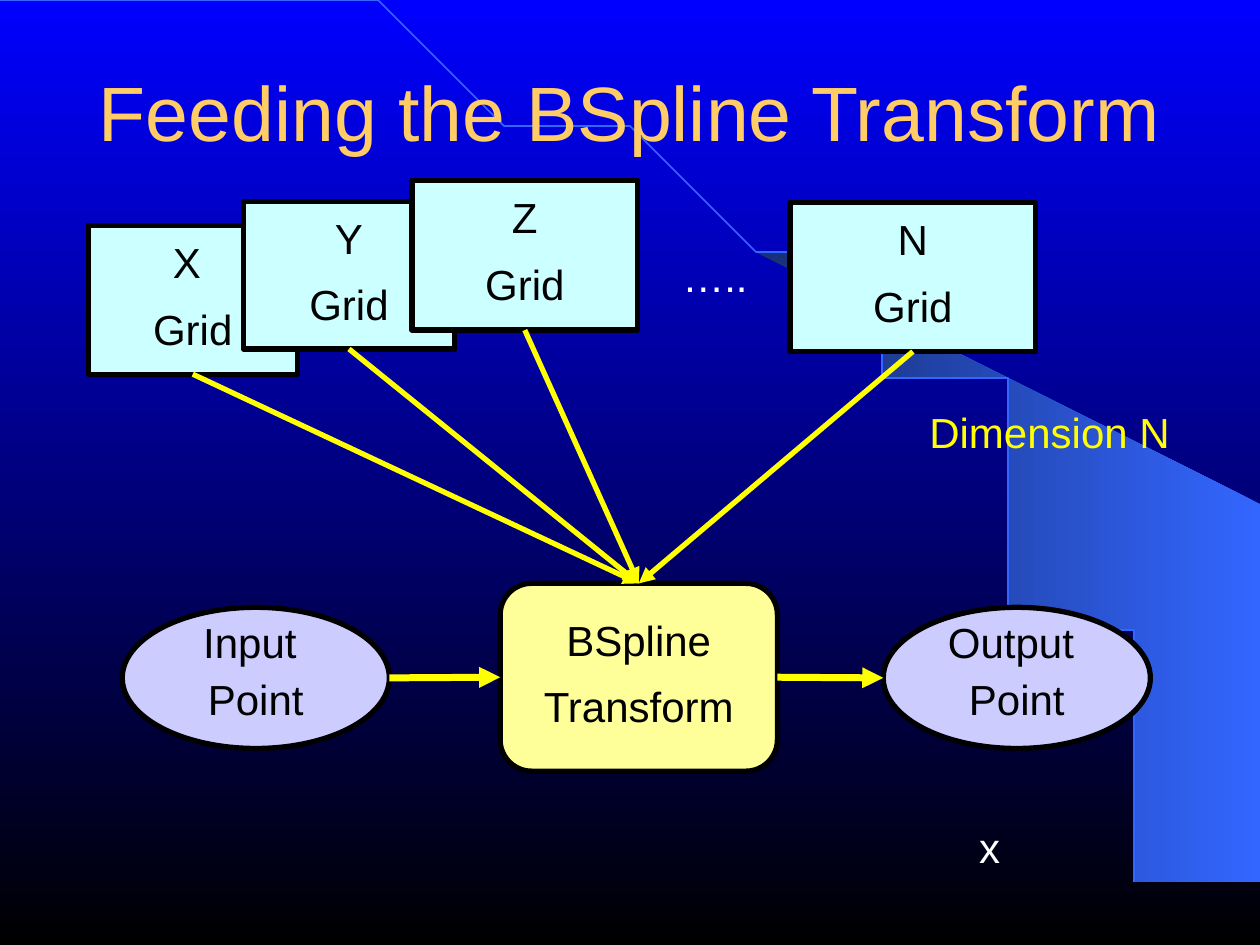
import math
import pptx
import pptx.util
import pptx.dml.color
import pptx.enum.shapes
import pptx.enum.text
import pptx.oxml.ns
from lxml import etree

Inches, Pt = pptx.util.Inches, pptx.util.Pt
SHAPE = pptx.enum.shapes.MSO_SHAPE
ANCHOR = pptx.enum.text.MSO_ANCHOR

# Content: lines of text, place (left, top, width, height)
TITLE = "Feeding the BSpline Transform", (0.75, 0.12, 8.5, 1.51)
GRIDS = [
    (["X ", "Grid"], (0.7, 1.79, 1.66, 1.18)),
    (["Y", "Grid"], (1.93, 1.6, 1.68, 1.17)),
    (["Z", "Grid"], (3.27, 1.43, 1.79, 1.19)),
    (["N", "Grid"], (6.27, 1.61, 1.95, 1.18)),
]
TRANSFORM = ["BSpline", "Transform"], (3.97, 4.63, 2.2, 1.49)
POINTS = [
    (["Input ", "Point"], (0.97, 4.82, 2.12, 1.12)),
    (["Output ", "Point"], (7.01, 4.82, 2.12, 1.12)),
]
# Label, place, colour, line spacing, top and bottom inset
LABELS = [
    ("…..", (5.19, 2.02, 0.97, 0.42), "white", 0.8, 0.05),
    ("Dimension N", (7.01, 3.22, 2.64, 0.54), "yellow", 0.6, 0.15),
    ("x", (7.67, 6.55, 0.37, 0.42), "white", 0.8, 0.05),
]

THEME = {
    "font": "Arial", "title_size": 44, "text_size": 24, "space_before": 15,
    "outline": 3, "feed_line": 3, "flow_line": 4, "arc_line": 1,
    "black": "000000", "white": "FFFFFF", "yellow": "FFFF00",
    "title": "FFCC66", "grid": "CCFFFF", "transform": "FFFF99",
    "point": "CCCCFF", "sky": "0000FF", "arc": "3366FF", "arc_dark": "172F75",
}


def color(name):
    return pptx.dml.color.RGBColor.from_string(THEME[name])


def gradient(fill, first, last, angle):
    fill.gradient()
    fill.gradient_angle = angle
    for stop, name in zip(fill.gradient_stops, (first, last)):
        stop.color.rgb = color(name)


def write(shape, lines, name, size="text_size", spacing=None,
          anchor=ANCHOR.MIDDLE, inset=(0.1, 0.05), wrap=True):
    tf = shape.text_frame
    tf.auto_size = pptx.enum.text.MSO_AUTO_SIZE.NONE
    tf.word_wrap = wrap
    tf.vertical_anchor = anchor
    tf.margin_left = tf.margin_right = Inches(inset[0])
    tf.margin_top = tf.margin_bottom = Inches(inset[1])
    for i, line in enumerate(lines):
        p = tf.add_paragraph() if i else tf.paragraphs[0]
        p.alignment = pptx.enum.text.PP_ALIGN.CENTER
        if spacing:
            p.line_spacing = spacing
        if i:
            p.space_before = Pt(THEME["space_before"])
        r = p.add_run()
        r.text = line
        r.font.name = THEME["font"]
        r.font.size = Pt(THEME[size])
        r.font.color.rgb = color(name)


def add_node(s, kind, lines, place, fill, spacing=0.8, inset=(0.1, 0.05)):
    sp = s.shapes.add_shape(kind, *map(Inches, place))
    sp.shadow.inherit = False
    sp.fill.solid()
    sp.fill.fore_color.rgb = color(fill)
    sp.line.color.rgb = color("black")
    sp.line.width = Pt(THEME["outline"])
    write(sp, lines, "black", spacing=spacing, inset=inset)
    return sp


def add_arrow(s, start, end, width):
    """Each end is (shape, site); rectangle ends are joined, ellipse ends placed."""
    ends = []
    for sp, site in (start, end):
        ends += [
            sp.left + sp.width * (0.5, 0, 0.5, 1)[site],
            sp.top + sp.height * (0, 0.5, 1, 0.5)[site],
        ]
    c = s.shapes.add_connector(pptx.enum.shapes.MSO_CONNECTOR.STRAIGHT, *map(int, ends))
    for (sp, site), join in ((start, c.begin_connect), (end, c.end_connect)):
        if sp.auto_shape_type != SHAPE.OVAL:
            join(sp, site)
    c.line.color.rgb = color("yellow")
    c.line.width = Pt(THEME[width])
    qn = pptx.oxml.ns.qn
    etree.SubElement(c.line._get_or_add_ln(), qn("a:tailEnd"), type="triangle")
    etree.SubElement(c.element.spPr, qn("a:effectLst"))


def arc_points(last_degree, steps):
    """Quarter ellipse round the lower left corner, from the bottom upwards."""
    angles = [math.radians(last_degree * i / steps) for i in range(steps + 1)]
    return [(9.2 * math.cos(a), 7.49 * (1 - math.sin(a))) for a in angles]


def add_outline(s, points, close):
    builder = s.shapes.build_freeform(*points[0], scale=Inches(1))
    builder.add_line_segments(points[1:], close=close)
    sp = builder.convert_to_shape()
    sp.shadow.inherit = False
    return sp


def main():
    prs = pptx.Presentation()
    prs.slide_width, prs.slide_height = Inches(10), Inches(7.5)
    s = prs.slides.add_slide(prs.slide_layouts[5])

    # Background with the swept band and its arc
    gradient(s.background.fill, "sky", "black", 270)
    band = add_outline(s, arc_points(50.2, 30) + [(9.99, 4.23), (9.99, 7.49)], True)
    gradient(band.fill, "arc", "arc_dark", 180)
    band.line.fill.background()
    arc = add_outline(s, arc_points(90, 60), False)
    arc.fill.background()
    arc.line.color.rgb = color("arc")
    arc.line.width = Pt(THEME["arc_line"])

    # Title, brought in front of the background
    text, place = TITLE
    title = s.shapes.title
    title.left, title.top, title.width, title.height = map(Inches, place)
    write(title, [text], "title", "title_size", inset=(0, 0))
    s.shapes.element.append(title.element)

    # Nodes
    grids = [add_node(s, SHAPE.RECTANGLE, *g, "grid") for g in GRIDS]
    transform = add_node(s, SHAPE.ROUNDED_RECTANGLE, *TRANSFORM, "transform",
                         inset=(0.1, 0.25))
    source, target = [add_node(s, SHAPE.OVAL, *pt, "point", 0.6) for pt in POINTS]

    # Arrows
    for grid in grids:
        add_arrow(s, (grid, 2), (transform, 0), "feed_line")
    add_arrow(s, (source, 3), (transform, 1), "flow_line")
    add_arrow(s, (transform, 3), (target, 1), "flow_line")

    # Labels
    for text, place, name, spacing, inset in LABELS:
        box = s.shapes.add_textbox(*map(Inches, place))
        write(box, [text], name, spacing=spacing, anchor=ANCHOR.TOP,
              inset=(0.1, inset))

    prs.save("out.pptx")


if __name__ == "__main__":
    main()
